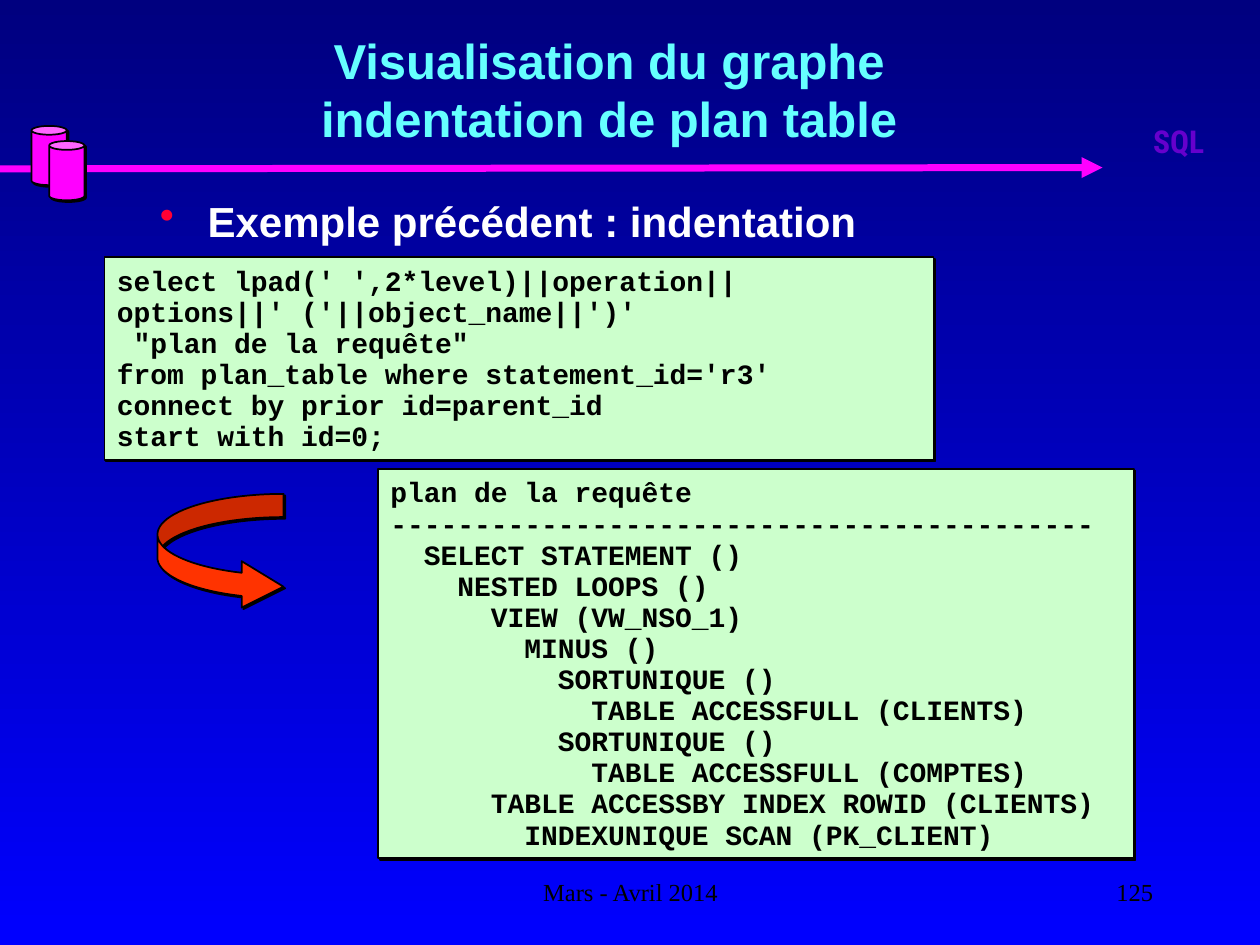
"""Build the slide on indenting a query plan taken from plan_table."""
from pptx import Presentation
from pptx.dml.color import RGBColor
from pptx.enum.shapes import MSO_CONNECTOR, MSO_SHAPE
from pptx.enum.text import MSO_ANCHOR, PP_ALIGN
from pptx.oxml import parse_xml
from pptx.oxml.ns import nsdecls, qn
from pptx.util import Inches, Pt


def rgb(color):
    return RGBColor.from_string(color)


def style(sp, color):
    sp.fill.solid()
    sp.fill.fore_color.rgb = rgb(color)
    sp.line.color.rgb = rgb("000000")
    sp.line.width = Pt(1)
    sp.shadow.inherit = False
    sp._element.spPr.find(qn("a:effectLst")).append(parse_xml(
        f'<a:outerShdw {nsdecls("a")} dist="17780" dir="2700000" algn="ctr" '
        'rotWithShape="0"><a:srgbClr val="000000"/></a:outerShdw>'))


prs = Presentation()
prs.slide_width, prs.slide_height = Inches(10), Inches(7.5)
s = prs.slides.add_slide(prs.slide_layouts[6])

fill = s.background.fill
fill.gradient()
fill.gradient_angle = 270
for stop, color in zip(fill.gradient_stops, ["00007F", "0000FF"]):
    stop.color.rgb = rgb(color)

arrow = s.shapes.add_connector(
    MSO_CONNECTOR.STRAIGHT, Inches(-0.01), Inches(1.34), Inches(8.75), Inches(1.33))
arrow.line.color.rgb = rgb("FF00FF")
arrow.line.width = Pt(4)
spPr = arrow._element.spPr
spPr.find(qn("a:ln")).append(parse_xml(f'<a:tailEnd {nsdecls("a")} type="triangle"/>'))
spPr.append(parse_xml(f'<a:effectLst {nsdecls("a")}/>'))

cans = s.shapes.add_group_shape()
for x, y in [(0.25, 1), (0.39, 1.12)]:
    can = cans.shapes.add_shape(
        MSO_SHAPE.CAN, Inches(x), Inches(y), Inches(0.28), Inches(0.47))
    can.adjustments[0] = 0.25
    style(can, "FF00FF")

CENTER, RIGHT, LEFT = PP_ALIGN.CENTER, PP_ALIGN.RIGHT, PP_ALIGN.LEFT
TOP, MIDDLE = MSO_ANCHOR.TOP, MSO_ANCHOR.MIDDLE
texts = [
    (8.77, 0.92, 1.17, 0.78, ["SQL"], "Roboto Condensed", 18, "6600CC", True, CENTER, TOP),
    (3.42, 6.83, 3.17, 0.5, ["Mars - Avril 2014"], "Times New Roman", 14, "000000",
     False, CENTER, MIDDLE),
    (7.17, 6.83, 2.08, 0.5, ["125"], "Times New Roman", 14, "000000", False, RIGHT, MIDDLE),
    (0.42, 0.08, 8.83, 1.25, ["Visualisation du graphe", "indentation de plan table"],
     "Arial", 28, "66FFFF", True, CENTER, MIDDLE),
    (1.17, 1.5, 8.5, 4.5, ["Exemple précédent : indentation"], "Arial", 24, "FFFFFF",
     True, LEFT, TOP),
]
for x, y, w, h, lines, font, size, color, bold, align, anchor in texts:
    tf = s.shapes.add_textbox(Inches(x), Inches(y), Inches(w), Inches(h)).text_frame
    tf.word_wrap = True
    tf.vertical_anchor = anchor
    p = tf.paragraphs[0]
    p.alignment = align
    for i, line in enumerate(lines):
        if i:
            p.add_line_break()
        r = p.add_run()
        r.text = line
        r.font.name, r.font.size, r.font.bold = font, Pt(size), bold
        r.font.color.rgb = rgb(color)

pPr = p._p.get_or_add_pPr()
pPr.set("marL", str(Inches(0.38)))
pPr.set("indent", str(Inches(-0.38)))
pPr.append(parse_xml(f'<a:buClr {nsdecls("a")}><a:srgbClr val="FF0033"/></a:buClr>'))
pPr.append(parse_xml(f'<a:buChar {nsdecls("a")} char="•"/>'))

query = """select lpad(' ',2*level)||operation||
options||' ('||object_name||')'
 "plan de la requête"
from plan_table where statement_id='r3'
connect by prior id=parent_id
start with id=0;"""
plan = """plan de la requête
------------------------------------------
  SELECT STATEMENT ()
    NESTED LOOPS ()
      VIEW (VW_NSO_1)
        MINUS ()
          SORTUNIQUE ()
            TABLE ACCESSFULL (CLIENTS)
          SORTUNIQUE ()
            TABLE ACCESSFULL (COMPTES)
      TABLE ACCESSBY INDEX ROWID (CLIENTS)
        INDEXUNIQUE SCAN (PK_CLIENT)"""
for x, y, w, h, code in [(0.83, 2.04, 6.58, 1.61, query), (3, 3.72, 6, 3.09, plan)]:
    sp = s.shapes.add_shape(
        MSO_SHAPE.RECTANGLE, Inches(x), Inches(y), Inches(w), Inches(h))
    style(sp, "CCFFCC")
    tf = sp.text_frame
    tf.word_wrap = True
    tf.vertical_anchor = MIDDLE
    tf.margin_top, tf.margin_bottom = Inches(0.21), Inches(0.09)
    for i, line in enumerate(code.split("\n")):
        p = tf.add_paragraph() if i else tf.paragraphs[0]
        p.alignment = LEFT
        p.line_spacing = 0.3
        p.space_before = Pt(6 if i else 0)
        p.space_after = Pt(6)
        r = p.add_run()
        r.text = line
        r.font.name, r.font.size, r.font.bold = "Courier New", Pt(16), True
        r.font.color.rgb = rgb("000000")

curve = s.shapes.add_shape(
    MSO_SHAPE.CURVED_RIGHT_ARROW, Inches(1.25), Inches(3.92), Inches(1), Inches(0.92))
for i, value in enumerate([0.2, 0.4, 0.36]):
    curve.adjustments[i] = value
style(curve, "FF3300")

prs.save("out.pptx")
